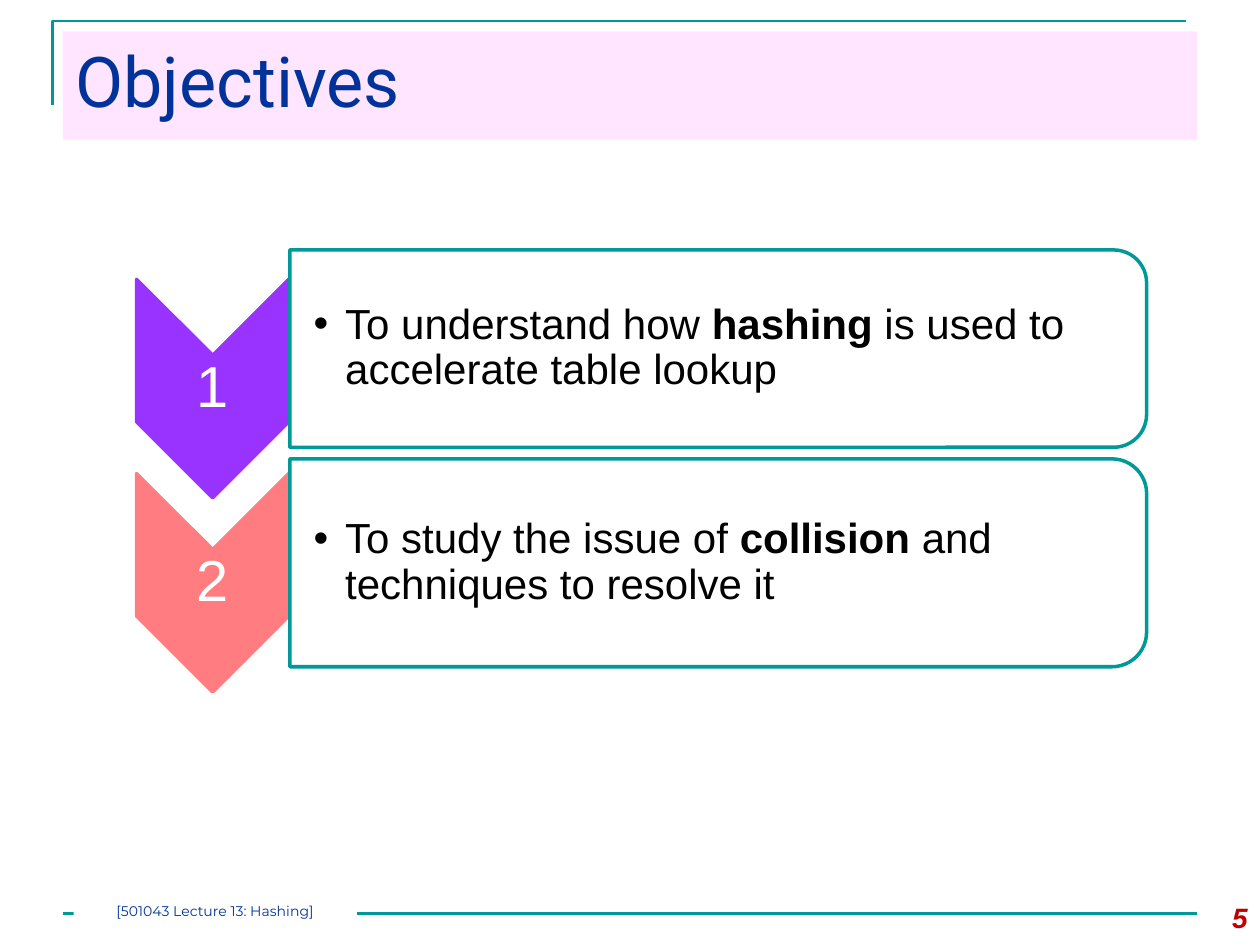
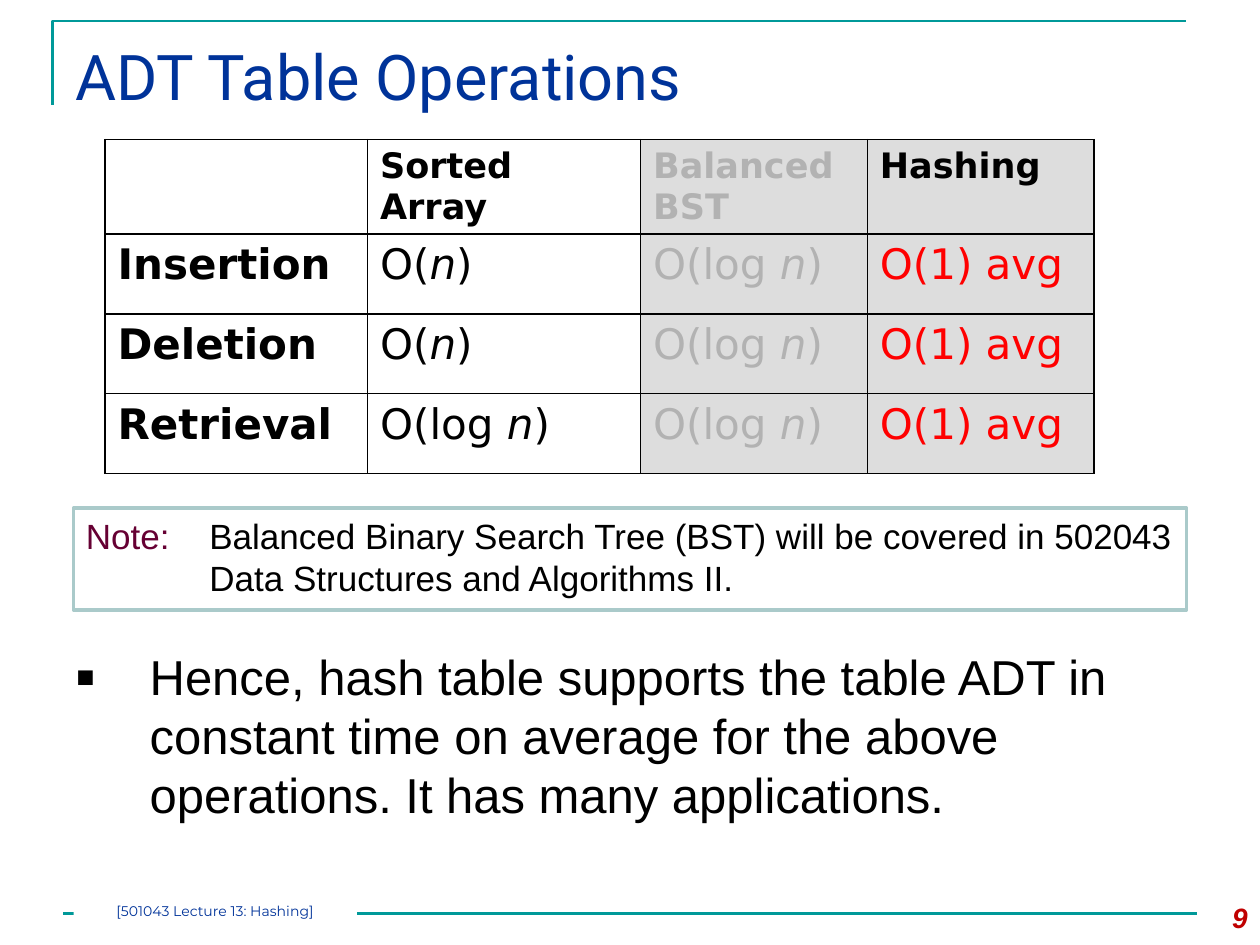
"""Builds two lecture slides on hashing: the objectives and the table ADT operations."""
import lxml.etree
import pptx
import pptx.dml.color
import pptx.enum.shapes
import pptx.enum.text
import pptx.oxml
import pptx.oxml.ns
import pptx.util

COLOURS = {
    "teal": "009999", "navy": "003399", "pink": "FF99FF", "number": "C00000",
    "violet": "9933FF", "coral": "FF7C80", "white": "FFFFFF", "black": "000000",
    "note line": "AACACA", "note": "660033", "grey": "DDDDDD", "dim": "B2B2B2", "red": "FF0000",
}
RGB = {name: pptx.dml.color.RGBColor.from_string(code) for name, code in COLOURS.items()}
SHAPE = pptx.enum.shapes.MSO_SHAPE
ALIGN = pptx.enum.text.PP_ALIGN
ANCHOR = pptx.enum.text.MSO_ANCHOR
qn = pptx.oxml.ns.qn

deck = pptx.Presentation()
deck.slide_width = pptx.util.Inches(10)
deck.slide_height = pptx.util.Inches(7.5)
column = deck.slide_width / 120
row = deck.slide_height / 90


def add_box(page, kind, area, fill=None, line=None, opacity=100, turned=False,
            anchor=ANCHOR.TOP, insets=None):
    """Add a shape covering an area of the grid, optionally turned a quarter clockwise."""
    left, top, width, height = area
    if turned:
        left, top = left + (width - height) / 2, top + (height - width) / 2
        width, height = height, width
    box = page.shapes.add_shape(kind, round(left * column), round(top * row),
                                round(width * column), round(height * row))
    box.shadow.inherit = False
    box.rotation = 90 if turned else 0
    if fill:
        box.fill.solid()
        box.fill.fore_color.rgb = RGB[fill]
        if opacity < 100:
            colour = box.fill._xPr.find(".//" + qn("a:srgbClr"))
            lxml.etree.SubElement(colour, qn("a:alpha"), val=str(opacity * 1000))
    else:
        box.fill.background()
    if line:
        box.line.color.rgb = RGB[line]
        box.line.width = pptx.util.Pt(2)
        lxml.etree.SubElement(box.line._ln, qn("a:round"))
    else:
        box.line.fill.background()
    frame = box.text_frame
    frame.word_wrap = True
    frame.vertical_anchor = anchor
    if insets:
        frame.margin_left, frame.margin_top, frame.margin_right, frame.margin_bottom = (
            pptx.util.Inches(inset) for inset in insets)
    return box


def write(para, spans, size, colour="black", font="Arial", style="", align=ALIGN.LEFT,
          indent=0, bullet=None, bullet_size=100):
    """Fill a paragraph with (text, style) spans; b is bold, i is italic, note is coloured."""
    para.alignment = align
    for text, extra in spans:
        span = para.add_run()
        span.text = text
        span.font.name = font
        span.font.size = pptx.util.Pt(size)
        span.font.bold = "b" in style + extra
        span.font.italic = "i" in style + extra
        span.font.color.rgb = RGB["note" if extra == "note" else colour]
    if indent:
        layout = para._p.get_or_add_pPr()
        layout.set("marL", str(pptx.util.Inches(indent)))
        layout.set("indent", str(-pptx.util.Inches(indent)))
        if bullet:
            lxml.etree.SubElement(layout, qn("a:buSzPct"), val=str(bullet_size * 1000))
            lxml.etree.SubElement(layout, qn("a:buFont"), typeface="Arial")
            lxml.etree.SubElement(layout, qn("a:buChar"), char=bullet)


pages = []
for title, title_size, band, number in [("Objectives", 40, "pink", "5"),
                                        ("ADT Table Operations", 36, None, "9")]:
    page = deck.slides.add_slide(deck.slide_layouts[6])
    pages.append(page)

    outline = page.shapes.build_freeform(5, 10, scale=(column, row))
    outline.add_line_segments([(5, 2), (113, 2)], close=False)
    corner = outline.convert_to_shape()
    corner.shadow.inherit = False
    corner.fill.background()
    rule = page.shapes.add_connector(pptx.enum.shapes.MSO_CONNECTOR.STRAIGHT,
                                     round(6 * column), round(87 * row),
                                     round(114 * column), round(87 * row))
    lxml.etree.SubElement(rule._element.spPr, qn("a:effectLst"))
    for stroke in (corner.line, rule.line):
        stroke.color.rgb = RGB["teal"]
        stroke.width = pptx.util.Pt(1.5)

    heading = add_box(page, SHAPE.RECTANGLE, (6, 3, 108, 10.3), band, opacity=25)
    write(heading.text_frame.paragraphs[0], [(title, "")], title_size, "navy", "Roboto")
    corner_number = add_box(page, SHAPE.RECTANGLE, (112, 85.2, 8, 4.8))
    write(corner_number.text_frame.paragraphs[0], [(number, "")], 16, "number",
          style="bi", align=ALIGN.RIGHT)
    footer = add_box(page, SHAPE.RECTANGLE, (7, 86, 27, 2), "white", insets=(0, 0, 0, 0))
    write(footer.text_frame.paragraphs[0], [("[501043 Lecture 13: Hashing]", "")], 8,
          "navy", "Montserrat", align=ALIGN.CENTER)

objectives, operations = pages

goals = [
    ("violet", 23.8, 18.8, [("To understand how ", ""), ("hashing", "b"),
                            (" is used to accelerate table lookup", "")]),
    ("coral", 43.7, 19.8, [("To study the issue of ", ""), ("collision", "b"),
                           (" and techniques to resolve it", "")]),
]
for index, (colour, panel_top, panel_height, spans) in enumerate(goals):
    chevron_top = 26.6 + index * 18.5
    add_box(objectives, SHAPE.CHEVRON, (13, chevron_top, 14.5, 20.8), colour, colour, turned=True)
    label = add_box(objectives, SHAPE.RECTANGLE, (13, chevron_top + 7.3, 14.5, 6.3),
                    anchor=ANCHOR.MIDDLE, insets=[0.02] * 4)
    para = label.text_frame.paragraphs[0]
    write(para, [(str(index + 1), "")], 33, "white", align=ALIGN.CENTER)
    para.line_spacing = 0.9
    add_box(objectives, SHAPE.ROUND_2_SAME_RECTANGLE, (27.6, panel_top, 81.6, panel_height),
            "white", "teal", opacity=90, turned=True)
    goal = add_box(objectives, SHAPE.RECTANGLE, (27.6, panel_top + 1, 80.7, panel_height - 2),
                   anchor=ANCHOR.MIDDLE, insets=(0.19, 0.02, 0.02, 0.02))
    para = goal.text_frame.paragraphs[0]
    write(para, spans, 24, indent=0.25, bullet="•")
    para.line_spacing = 0.9

note = add_box(operations, SHAPE.RECTANGLE, (7, 48.4, 106, 9.7), "white", "note line")
write(note.text_frame.paragraphs[0],
      [("Note:\t", "note"),
       ("Balanced Binary Search Tree (BST) will be covered in 502043 "
        "Data Structures and Algorithms II.", "")], 20, indent=0.98)

linear = [("O(", ""), ("n", "i"), (")", "")]
logarithmic = [("O(log ", ""), ("n", "i"), (")", "")]
constant = [("O(1) avg", "")]
grid = [
    [[], [("Sorted Array", "b")], [("Balanced BST", "b")], [("Hashing", "b")]],
    [[("Insertion", "b")], linear, logarithmic, constant],
    [[("Deletion", "b")], linear, logarithmic, constant],
    [[("Retrieval", "b")], logarithmic, logarithmic, constant],
]
widths = [25, 26, 21.6, 21.6]
heights = [9, 7.6, 7.6, 7.6]
table = operations.shapes.add_table(4, 4, round(10 * column), round(13.3 * row),
                                    round(sum(widths) * column),
                                    round(sum(heights) * row)).table
table.first_row = table.horz_banding = False
for index in range(4):
    table.columns[index].width = round(widths[index] * column)
    table.rows[index].height = round(heights[index] * row)
for row_index, line in enumerate(grid):
    for column_index, spans in enumerate(line):
        cell = table.cell(row_index, column_index)
        properties = cell._tc.get_or_add_tcPr()
        for side in ("a:lnL", "a:lnR", "a:lnT", "a:lnB"):
            border = lxml.etree.SubElement(properties, qn(side), w=str(pptx.util.Pt(1)))
            paint = lxml.etree.SubElement(border, qn("a:solidFill"))
            lxml.etree.SubElement(paint, qn("a:srgbClr"), val=COLOURS["black"])
        cell.fill.solid()
        cell.fill.fore_color.rgb = RGB["grey" if column_index > 1 else "white"]
        last = "red" if row_index else "black"
        write(cell.text_frame.paragraphs[0], spans, 24 if row_index else 20,
              ["black", "black", "dim", last][column_index], "DejaVu Sans")

summary = add_box(operations, SHAPE.RECTANGLE, (6, 61, 108, 18))
para = summary.text_frame.paragraphs[0]
write(para, [("Hence, hash table supports the table ADT in constant time on average "
              "for the above operations. It has many applications.", "")],
      28, indent=0.59, bullet="▪", bullet_size=120)
para.space_before = pptx.util.Pt(12)

deck.save("out.pptx")
